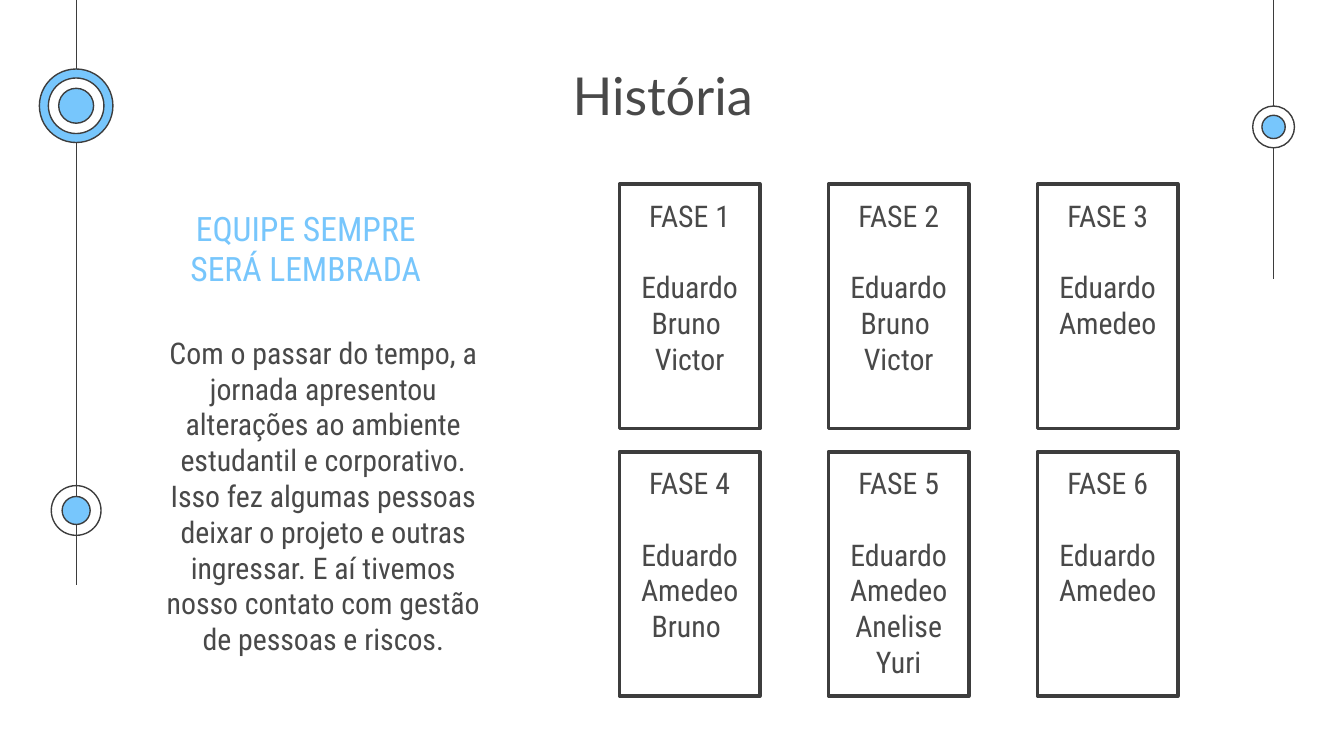
from lxml import etree
from pptx import Presentation
from pptx.dml.color import RGBColor
from pptx.enum.shapes import MSO_CONNECTOR, MSO_SHAPE
from pptx.enum.text import MSO_ANCHOR, MSO_AUTO_SIZE, PP_ALIGN
from pptx.oxml.ns import qn
from pptx.util import Cm, Pt

RECTANGLE, OVAL = MSO_SHAPE.RECTANGLE, MSO_SHAPE.OVAL
STRAIGHT = MSO_CONNECTOR.STRAIGHT
TOP, CENTER, NO_AUTOFIT = MSO_ANCHOR.TOP, PP_ALIGN.CENTER, MSO_AUTO_SIZE.NONE

TITLE_FONT, BODY_FONT = "Lato", "Roboto Condensed"
TEXT, OUTLINE, BLUE, WHITE = "494949", "3D3D3D", "77C6FC", "FFFFFF"
TWO_CONTENT_LAYOUT = 3

PHASES = [
    ["Eduardo", "Bruno ", "Victor"],
    ["Eduardo", "Bruno ", "Victor"],
    ["Eduardo", "Amedeo"],
    ["Eduardo", "Amedeo", "Bruno "],
    ["Eduardo", "Amedeo", "Anelise", "Yuri"],
    ["Eduardo", "Amedeo"],
]


def color(value):
    return RGBColor.from_string(value)


def set_attributes(target, values):
    for name, value in values.items():
        setattr(target, name, value)


class SlideBuilder:
    frame_format = {
        "word_wrap": True, "auto_size": NO_AUTOFIT, "vertical_anchor": TOP,
        "margin_left": Cm(0.25), "margin_right": Cm(0.25),
        "margin_top": Cm(0.25), "margin_bottom": Cm(0.25),
    }
    paragraph_format = {
        "alignment": CENTER, "space_before": Pt(0), "space_after": Pt(0),
    }

    def __init__(self, slide):
        self.slide = slide

    def set_text(self, shape, lines, size, font=BODY_FONT, text_color=TEXT):
        frame = shape.text_frame
        frame.text = "\n".join(lines)
        set_attributes(frame, self.frame_format)
        for paragraph in frame.paragraphs:
            set_attributes(paragraph, self.paragraph_format)
            set_attributes(paragraph.runs[0].font, {"name": font, "size": Pt(size)})
            paragraph.runs[0].font.color.rgb = color(text_color)

    def placeholder(self, index, box, text, size, **style):
        shape = self.slide.placeholders[index]
        names = ("left", "top", "width", "height")
        set_attributes(shape, {name: Cm(value) for name, value in zip(names, box)})
        self.set_text(shape, [text], size, **style)
        # Plain text: no bullet and no hanging indent
        properties = shape.text_frame.paragraphs[0]._p.get_or_add_pPr()
        properties.set("marL", "0")
        properties.set("indent", "0")
        etree.SubElement(properties, qn("a:buNone"))

    def shape(self, kind, left, top, width, height, fill, weight):
        shape = self.slide.shapes.add_shape(
            kind, Cm(left), Cm(top), Cm(width), Cm(height))
        shape.shadow.inherit = False
        if fill:
            shape.fill.solid()
            shape.fill.fore_color.rgb = color(fill)
        else:
            shape.fill.background()
        shape.line.color.rgb = color(OUTLINE)
        shape.line.width = Pt(weight)
        return shape

    def vertical_line(self, x, length):
        line = self.slide.shapes.add_connector(
            STRAIGHT, Cm(x), Cm(0), Cm(x), Cm(length))
        line.line.color.rgb = color(OUTLINE)
        line.line.width = Pt(0.75)
        etree.SubElement(line._element.spPr, qn("a:effectLst"))

    def rings(self, x, y, circles):
        for diameter, fill in circles:
            self.shape(OVAL, x - diameter / 2, y - diameter / 2,
                       diameter, diameter, fill, 0.75)

    def card(self, left, top, heading, names):
        card = self.shape(RECTANGLE, left, top, 2.65, 4.62, WHITE, 2)
        self.set_text(card, [heading, *names], 16)
        card.text_frame.paragraphs[0].space_after = Pt(19)


def main():
    presentation = Presentation()
    presentation.slide_width, presentation.slide_height = Cm(25.4), Cm(14.29)
    layout = presentation.slide_layouts[TWO_CONTENT_LAYOUT]
    builder = SlideBuilder(presentation.slides.add_slide(layout))

    # Side lines with ring markers
    left_x, right_x = 1.44, 24.07
    builder.vertical_line(left_x, 11.05)
    builder.vertical_line(right_x, 5.28)
    builder.rings(left_x, 2, [(1.39, BLUE), (1.05, WHITE), (0.66, BLUE)])
    builder.rings(left_x, 9.65, [(0.94, None), (0.53, BLUE)])
    builder.rings(right_x, 2.4, [(0.79, WHITE), (0.44, BLUE)])

    # Title, heading and story
    builder.placeholder(0, (4.78, 0.94, 15.49, 1.65), "História", 28, font=TITLE_FONT)
    builder.placeholder(1, (3.33, 3.68, 4.9, 0.91), "EQUIPE SEMPRE SERÁ LEMBRADA",
                        18, text_color=BLUE)
    builder.placeholder(
        2, (2.87, 6.07, 6.48, 5.89),
        "Com o passar do tempo, a jornada apresentou alterações ao ambiente "
        "estudantil e corporativo. Isso fez algumas pessoas deixar o projeto e "
        "outras ingressar. E aí tivemos nosso contato com gestão de pessoas e "
        "riscos.", 16)

    # Phase cards, three to a row
    for index, names in enumerate(PHASES):
        row, column = divmod(index, 3)
        builder.card(11.71 + 3.95 * column, 3.48 + 5.06 * row,
                     f"FASE {index + 1}", names)

    presentation.save("out.pptx")


if __name__ == "__main__":
    main()
